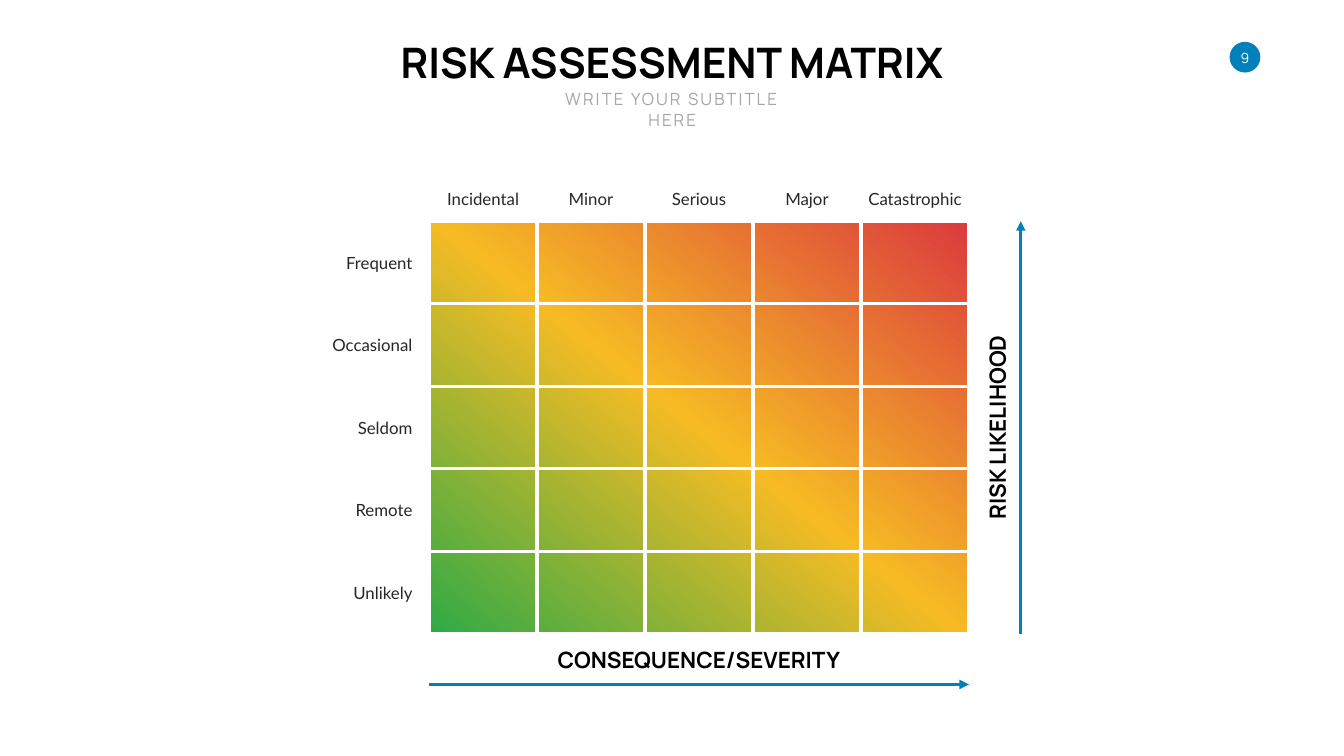
from dataclasses import dataclass

import lxml.etree
import copy
import pptx
import pptx.dml.color
import pptx.enum.shapes
import pptx.enum.text
import pptx.oxml.ns
import pptx.util

Inches = pptx.util.Inches
Pt = pptx.util.Pt
qn = pptx.oxml.ns.qn
ALIGN = pptx.enum.text.PP_ALIGN
ANCHOR = pptx.enum.text.MSO_ANCHOR
SHAPE = pptx.enum.shapes.MSO_SHAPE

COLORS = {
    "blue": "0180B9", "white": "FFFFFF", "black": "000000",
    "grey": "A6A6A6", "dark": "272727",
    "high": "DB3A3E", "medium": "F6BB24", "low": "2FAA46",
}

# Matrix grid
LEFT, TOP, WIDTH, HEIGHT = 8.51, 4.39, 10.71, 8.19
RIGHT, BOTTOM = LEFT + WIDTH, TOP + HEIGHT
LINE_WIDTH = 4.5
LABEL_HEIGHT = 0.5


@dataclass
class Label:
    text: str
    left: float
    top: float
    width: float
    height: float
    size: int
    color: str = "black"
    font: str = "Manrope"
    bold: bool = False
    align: ALIGN = ALIGN.CENTER
    anchor: ANCHOR = ANCHOR.TOP
    rotation: int = 0
    spacing: int = 0
    wrap: bool = False
    inset: bool = True


@dataclass
class Category:
    name: str
    width: float


def rgb(name: str) -> pptx.dml.color.RGBColor:
    return pptx.dml.color.RGBColor.from_string(COLORS[name])


def add_label(slide, label: Label) -> None:
    box = slide.shapes.add_textbox(Inches(label.left), Inches(label.top),
                                   Inches(label.width), Inches(label.height))
    box.rotation = label.rotation
    frame = box.text_frame
    frame.word_wrap = label.wrap
    frame.auto_size = pptx.enum.text.MSO_AUTO_SIZE.SHAPE_TO_FIT_TEXT
    frame.vertical_anchor = label.anchor
    if not label.inset:
        frame.margin_left = frame.margin_right = 0
        frame.margin_top = frame.margin_bottom = 0
    paragraph = frame.paragraphs[0]
    paragraph.alignment = label.align
    run = paragraph.add_run()
    run.text = label.text
    font = paragraph.font
    font.name, font.size, font.bold = label.font, Pt(label.size), label.bold
    font.color.rgb = rgb(label.color)
    if label.spacing:
        run.font._element.set("spc", str(label.spacing * 100))


def add_line(slide, x1: float, y1: float, x2: float, y2: float,
             color: str, arrow: bool = False) -> None:
    line = slide.shapes.add_connector(
        pptx.enum.shapes.MSO_CONNECTOR.STRAIGHT,
        Inches(x1), Inches(y1), Inches(x2), Inches(y2))
    line.line.width = Pt(LINE_WIDTH)
    line.line.color.rgb = rgb(color)
    if arrow:
        lxml.etree.SubElement(line.line._get_or_add_ln(), qn("a:tailEnd"), type="triangle")
    lxml.etree.SubElement(line._element.spPr, qn("a:effectLst"))


def add_matrix(slide) -> None:
    matrix = slide.shapes.add_shape(SHAPE.RECTANGLE, Inches(LEFT), Inches(TOP),
                                    Inches(WIDTH), Inches(HEIGHT))
    matrix.shadow.inherit = False
    matrix.line.color.rgb = rgb("white")
    matrix.line.width = Pt(LINE_WIDTH)
    # A new gradient has two stops; the middle one is added
    matrix.fill.gradient()
    stops = matrix._element.spPr.find(".//" + qn("a:gsLst"))
    stops.insert(1, copy.deepcopy(stops[0]))
    risks = zip(matrix.fill.gradient_stops, ("high", "medium", "low"), (0, 0.5, 1))
    for stop, color, position in risks:
        stop.color.rgb = rgb(color)
        stop.position = position
    matrix.fill.gradient_angle = 360 - 128


def main() -> None:
    presentation = pptx.Presentation()
    presentation.slide_width = Inches(26.66)
    presentation.slide_height = Inches(15)
    slide = presentation.slides.add_slide(presentation.slide_layouts[6])

    # Page number
    badge = slide.shapes.add_shape(SHAPE.OVAL, Inches(24.39), Inches(0.83),
                                   Inches(0.61), Inches(0.61))
    badge.shadow.inherit = False
    badge.fill.solid()
    badge.fill.fore_color.rgb = rgb("blue")
    badge.line.fill.background()
    add_label(slide, Label("9", 24.49, 0.97, 0.41, 0.34, 20, "white",
                           anchor=ANCHOR.MIDDLE, inset=False))

    # Title and subtitle
    add_label(slide, Label("RISK ASSESSMENT MATRIX", 7.7, 0.67, 11.26, 1.11, 60, bold=True))
    add_label(slide, Label("WRITE YOUR SUBTITLE HERE", 10.62, 1.72, 5.43, 0.5, 24, "grey",
                           spacing=3, wrap=True))

    # Matrix with its dividing lines
    severities = [Category("Incidental", 1.65), Category("Minor", 1.1),
                  Category("Serious", 1.29), Category("Major", 1.07),
                  Category("Catastrophic", 2.08)]
    likelihoods = [Category("Frequent", 1.56), Category("Occasional", 1.81),
                   Category("Seldom", 1.3), Category("Remote", 1.36),
                   Category("Unlikely", 1.4)]
    column_width = WIDTH / len(severities)
    row_height = HEIGHT / len(likelihoods)
    add_matrix(slide)
    for column in range(1, len(severities)):
        x = LEFT + column * column_width
        add_line(slide, x, TOP, x, BOTTOM, "white")
    for row in range(1, len(likelihoods)):
        y = TOP + row * row_height
        add_line(slide, LEFT, y, RIGHT, y, "white")

    # Column and row labels
    for column, severity in enumerate(severities):
        center = LEFT + (column + 0.5) * column_width
        add_label(slide, Label(severity.name, center - severity.width / 2, 3.69,
                               severity.width, LABEL_HEIGHT, 24, "dark", "Lato",
                               anchor=ANCHOR.BOTTOM))
    for row, likelihood in enumerate(likelihoods):
        middle = TOP + (row + 0.5) * row_height
        add_label(slide, Label(likelihood.name, 8.28 - likelihood.width,
                               middle - LABEL_HEIGHT / 2, likelihood.width, LABEL_HEIGHT,
                               24, "dark", "Lato", align=ALIGN.RIGHT,
                               anchor=ANCHOR.MIDDLE))

    # Axes
    add_line(slide, LEFT, 13.58, RIGHT, 13.58, "blue", arrow=True)
    add_line(slide, 20.25, BOTTOM, 20.25, TOP, "blue", arrow=True)
    add_label(slide, Label("CONSEQUENCE/SEVERITY", 10.93, 12.78, 5.87, 0.64, 32, bold=True))
    add_label(slide, Label("RISK LIKELIHOOD", 17.82, 8.16, 3.92, 0.64, 32, bold=True,
                           rotation=270))

    presentation.save("out.pptx")


if __name__ == "__main__":
    main()
